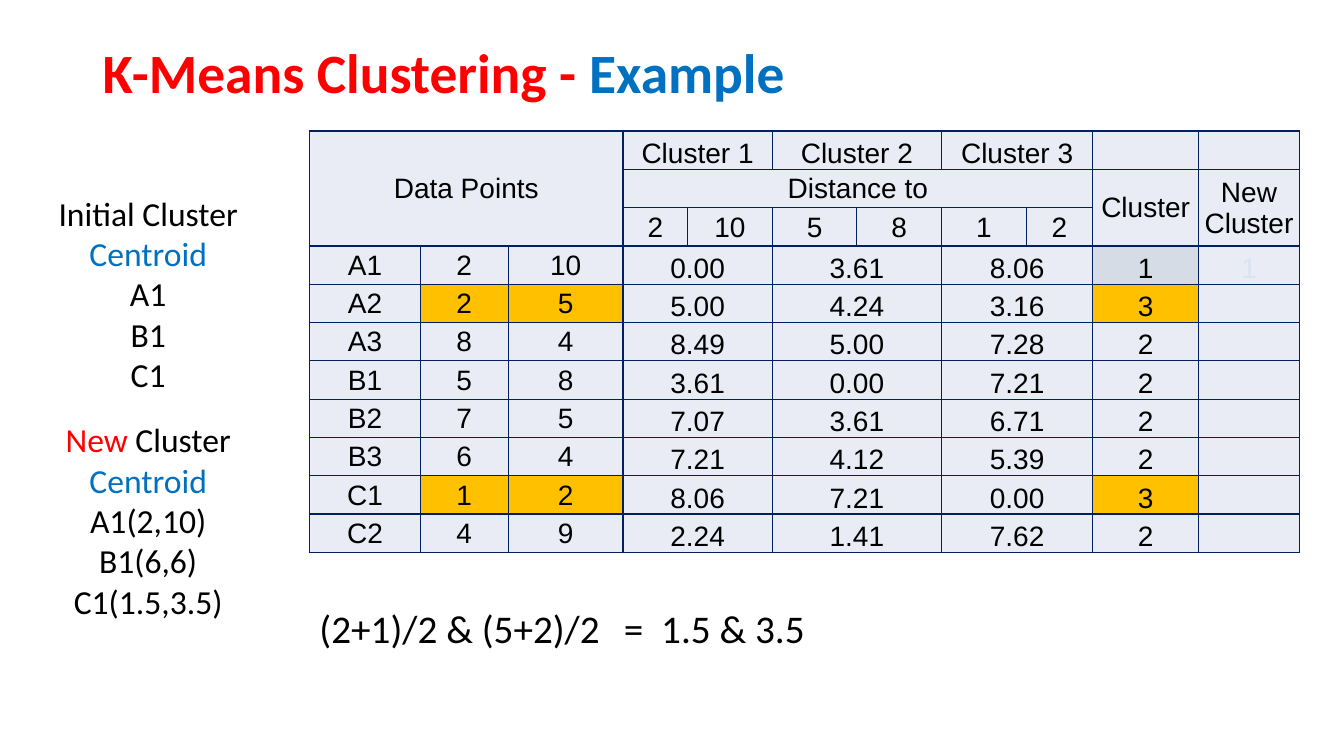
from pptx import Presentation
from pptx.dml.color import RGBColor as RGB
from pptx.enum.text import MSO_ANCHOR as ANCHOR, MSO_AUTO_SIZE as AUTO, PP_ALIGN as ALIGN
from pptx.oxml import parse_xml
from pptx.oxml.ns import nsdecls
from pptx.util import Pt

PX = 9144  # 100 px to the inch
COLORS = {"black": "000000", "red": "FF0000", "blue": "0070C0", "navy": "002060",
          "cell": "E9EBF5", "gold": "FFC000", "grey": "D6DCE5", "pale": "DAE3F3"}


def add_run(paragraph, text, color, **formats):
    run = paragraph.add_run()
    run.text = text
    run.font.color.rgb = RGB.from_string(COLORS[color])
    for name, value in formats.items():
        setattr(run.font, name, value)


def add_text(box, lines, frame_formats, paragraph_formats, **font_formats):
    frame = slide.shapes.add_textbox(*[length * PX for length in box]).text_frame
    for name, value in frame_formats.items():
        setattr(frame, name, value)
    for index, runs in enumerate(lines):
        paragraph = frame.add_paragraph() if index else frame.paragraphs[0]
        for name, value in paragraph_formats.items():
            setattr(paragraph, name, value)
        for text, color in runs:
            add_run(paragraph, text, color, name="Calibri", **font_formats)


presentation = Presentation()
presentation.slide_width, presentation.slide_height = 1333 * PX, 750 * PX
slide = presentation.slides.add_slide(presentation.slide_layouts[6])

# Title
add_text((92, 40, 1150, 70), [[("K-Means Clustering - ", "red"), ("Example", "blue")]],
         {"word_wrap": True, "vertical_anchor": ANCHOR.MIDDLE}, {"line_spacing": 0.9},
         size=Pt(39.6), bold=True)

# Table grid
column_widths = [110, 87, 114, 64, 84, 84, 84, 84, 66, 105, 100]
row_count, row_height = 11, 38
table = slide.shapes.add_table(row_count, len(column_widths), 307 * PX, 130 * PX,
                               sum(column_widths) * PX, row_count * row_height * PX).table
table.first_row = table.horz_banding = False
for column, width in zip(table.columns, column_widths):
    column.width = width * PX
for row in table.rows:
    row.height = row_height * PX

# Table contents: headings, then point, x, y, three distances and cluster
texts = {(0, 0): "Data Points", (1, 3): "Distance to", (1, 9): "Cluster", (1, 10): "New Cluster",
         (3, 10): "1"}
distance_columns = (3, 5, 7)
for number, column in enumerate(distance_columns, 1):
    texts[0, column] = f"Cluster {number}"
for column, coordinate in enumerate(["2", "10", "5", "8", "1", "2"], 3):
    texts[2, column] = coordinate
points = [
    "A1 2 10 0.00 3.61 8.06 1",
    "A2 2 5 5.00 4.24 3.16 3",
    "A3 8 4 8.49 5.00 7.28 2",
    "B1 5 8 3.61 0.00 7.21 2",
    "B2 7 5 7.07 3.61 6.71 2",
    "B3 6 4 7.21 4.12 5.39 2",
    "C1 1 2 8.06 7.21 0.00 3",
    "C2 4 9 2.24 1.41 7.62 2",
]
for row, point in enumerate(points, 3):
    for column, value in zip((0, 1, 2, *distance_columns, 9), point.split()):
        texts[row, column] = value

# Merged cells
merges = [(0, 0, 2, 2), (1, 3, 1, 8), (1, 9, 2, 9), (1, 10, 2, 10)]
merges += [(row, column, row, column + 1) for row in (0, *range(3, row_count))
           for column in distance_columns]
for top, left, bottom, right in merges:
    table.cell(top, left).merge(table.cell(bottom, right))

# Cell fills, borders and text
fills = {(row, column): "gold" for row in (4, 9) for column in (1, 2, 9)}
fills[3, 9] = "grey"
cell_margins = {"margin_left": PX, "margin_top": PX, "margin_right": PX, "margin_bottom": 0}
for row in range(row_count):
    for column in range(len(column_widths)):
        cell = table.cell(row, column)
        for name, value in cell_margins.items():
            setattr(cell, name, value)
        at_bottom = column > 2 and (row == 0 or row > 2)
        cell.vertical_anchor = ANCHOR.BOTTOM if at_bottom else ANCHOR.MIDDLE
        cell.fill.solid()
        cell.fill.fore_color.rgb = RGB.from_string(COLORS[fills.get((row, column), "cell")])
        properties = cell._tc.get_or_add_tcPr()
        for position, side in enumerate("LRTB"):
            properties.insert(position, parse_xml(
                f'<a:ln{side} {nsdecls("a")} w="{Pt(1)}"><a:solidFill>'
                f'<a:srgbClr val="{COLORS["navy"]}"/></a:solidFill></a:ln{side}>'))
        if (row, column) in texts:
            paragraph = cell.text_frame.paragraphs[0]
            paragraph.alignment = ALIGN.CENTER
            color = "pale" if (row, column) == (3, 10) else "black"
            add_run(paragraph, texts[row, column], color, name="Arial", size=Pt(20))

# Initial and new centroids
centroids = [
    (186, 252, [("Initial Cluster ", "black")], ["A1", "B1", "C1"]),
    (411, 293, [("New", "red"), (" Cluster ", "black")], ["A1(2,10)", "B1(6,6)", "C1(1.5,3.5)"]),
]
for top, height, heading, members in centroids:
    lines = [heading + [("Centroid", "blue")]] + [[(member, "black")] for member in members]
    add_text((46, top, 202, height), lines, {"word_wrap": True}, {"alignment": ALIGN.CENTER},
             size=Pt(24))

# Worked mean of the third cluster
for left, width, formula in [(307, 302, "(2+1)/2 & (5+2)/2"), (609, 202, "=  1.5 & 3.5")]:
    add_text((left, 595, width, 57), [[(formula, "black")]],
             {"word_wrap": False, "auto_size": AUTO.SHAPE_TO_FIT_TEXT}, {}, size=Pt(28))

presentation.save("out.pptx")
